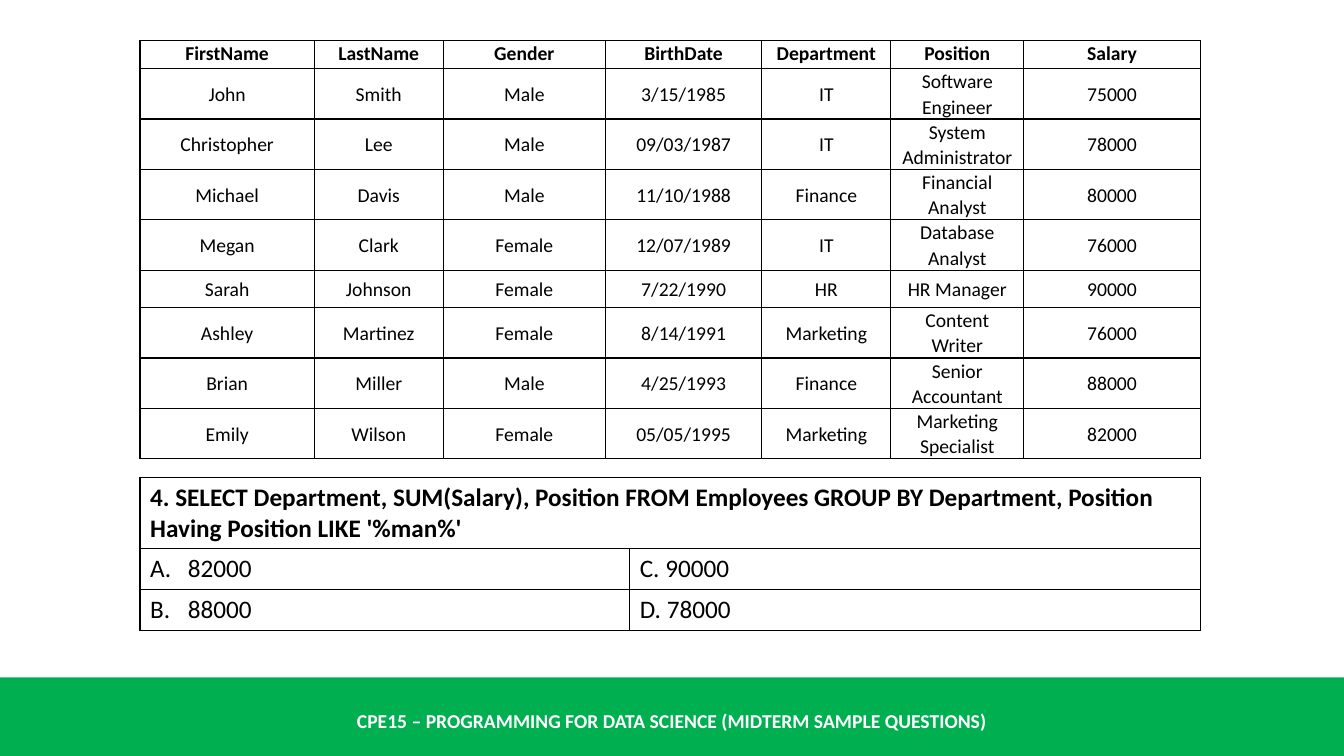
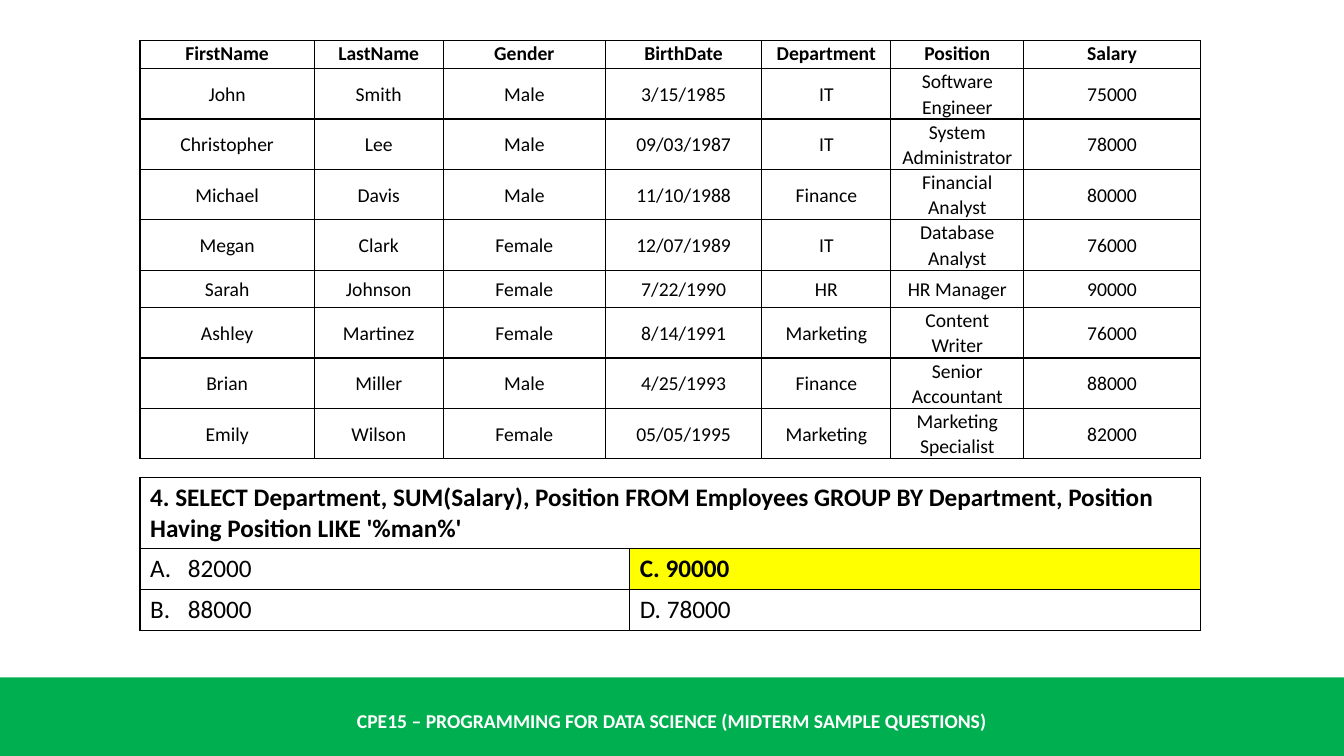
import lxml.etree
import pptx
import pptx.dml.color
import pptx.enum.shapes
import pptx.enum.text
import pptx.oxml.ns
import pptx.util

Cm = pptx.util.Cm
Pt = pptx.util.Pt
rgb = pptx.dml.color.RGBColor.from_string
qn = pptx.oxml.ns.qn
CENTER = pptx.enum.text.PP_ALIGN.CENTER
LEFT = pptx.enum.text.PP_ALIGN.LEFT
MIDDLE = pptx.enum.text.MSO_ANCHOR.MIDDLE
TOP = pptx.enum.text.MSO_ANCHOR.TOP

GREEN, BLACK, WHITE, YELLOW = "00B050", "000000", "FFFFFF", "FFFF00"
TABLE_LEFT = 3.53
FOOTER = "CPE15 – PROGRAMMING FOR DATA SCIENCE (MIDTERM SAMPLE QUESTIONS)"

EMPLOYEES = [
    ["FirstName", "LastName", "Gender", "BirthDate", "Department", "Position", "Salary"],
    ["John", "Smith", "Male", "3/15/1985", "IT", "Software Engineer", "75000"],
    ["Christopher", "Lee", "Male", "09/03/1987", "IT", "System Administrator", "78000"],
    ["Michael", "Davis", "Male", "11/10/1988", "Finance", "Financial Analyst", "80000"],
    ["Megan", "Clark", "Female", "12/07/1989", "IT", "Database Analyst", "76000"],
    ["Sarah", "Johnson", "Female", "7/22/1990", "HR", "HR Manager", "90000"],
    ["Ashley", "Martinez", "Female", "8/14/1991", "Marketing", "Content Writer", "76000"],
    ["Brian", "Miller", "Male", "4/25/1993", "Finance", "Senior Accountant", "88000"],
    ["Emily", "Wilson", "Female", "05/05/1995", "Marketing", "Marketing Specialist", "82000"],
]
EMPLOYEE_COLUMNS = [4.39, 3.25, 4.09, 3.94, 3.25, 3.35, 4.45]
EMPLOYEE_ROWS = [0.71] + [1.27] * 4 + [0.94] + [1.27] * 3

QUESTION = [
    ["4. SELECT Department, SUM(Salary), Position FROM Employees "
     "GROUP BY Department, Position Having Position LIKE '%man%'", ""],
    ["82000", "C. 90000"],
    ["88000", "D. 78000"],
]
QUESTION_COLUMNS = [12.34, 14.38]
QUESTION_ROWS = [1.79, 1.03, 1.03]


def write(para, text, size, colour, bold, align):
    para.alignment = align
    span = para.add_run()
    span.text = text
    span.font.color.rgb = rgb(colour)
    for name, value in {"name": "Calibri", "size": Pt(size), "bold": bold}.items():
        setattr(span.font, name, value)


def add_grid(page, top, texts, columns, rows, size, align):
    table = page.shapes.add_table(len(rows), len(columns), Cm(TABLE_LEFT), Cm(top),
                                  Cm(sum(columns)), Cm(sum(rows))).table
    table.first_row = table.horz_banding = False
    for column, width in zip(table.columns, columns):
        column.width = Cm(width)
    for index, height in enumerate(rows):
        table.rows[index].height = Cm(height)
        for cell, text in zip(table.rows[index].cells, texts[index]):
            cell.vertical_anchor = MIDDLE
            properties = cell._tc.get_or_add_tcPr()
            for side in ("a:lnL", "a:lnR", "a:lnT", "a:lnB"):
                line = lxml.etree.SubElement(properties, qn(side), w=str(Pt(1)))
                solid = lxml.etree.SubElement(line, qn("a:solidFill"))
                lxml.etree.SubElement(solid, qn("a:srgbClr"), val=BLACK)
            cell.fill.background()
            if text:
                write(cell.text_frame.paragraphs[0], text, size, BLACK, index == 0, align)
    return table


deck = pptx.Presentation()
deck.slide_width, deck.slide_height = Cm(33.87), Cm(19.05)
layout = deck.slide_layouts[6]
for placeholder in list(layout.placeholders):
    layout.shapes.element.remove(placeholder.element)

for answer_shown in (False, True):
    page = deck.slides.add_slide(layout)

    if not answer_shown:
        band = page.shapes.add_shape(pptx.enum.shapes.MSO_SHAPE.RECTANGLE,
                                     0, Cm(17.07), deck.slide_width, Cm(1.98))
        band.shadow.inherit = False
        band.fill.solid()
        band.fill.fore_color.rgb = rgb(GREEN)
        band.line.fill.background()
        footer = page.shapes.add_textbox(0, Cm(17.65), deck.slide_width, Cm(1.02))
        footer.text_frame.word_wrap = True
        footer.text_frame.vertical_anchor = MIDDLE
        write(footer.text_frame.paragraphs[0], FOOTER, 14, WHITE, True, CENTER)
        for shared in (band, footer):
            layout.shapes.element.append(shared.element)

    employees = add_grid(page, 1.02, EMPLOYEES, EMPLOYEE_COLUMNS, EMPLOYEE_ROWS, 14, CENTER)
    margins = {"margin_left": Cm(0.18), "margin_right": Cm(0.18),
               "margin_top": 0, "margin_bottom": 0}
    for cell in employees.iter_cells():
        cell.text_frame.paragraphs[0].line_spacing = 1.06
        for name, value in margins.items():
            setattr(cell, name, value)
    for cell in employees.rows[0].cells:
        cell.vertical_anchor = TOP

    question = add_grid(page, 12.04, QUESTION, QUESTION_COLUMNS, QUESTION_ROWS, 18, LEFT)
    question.cell(0, 0).merge(question.cell(0, 1))
    for number in (1, 2):
        properties = question.cell(number, 0).text_frame.paragraphs[0]._p.get_or_add_pPr()
        properties.set("marL", str(Cm(0.95)))
        properties.set("indent", str(-Cm(0.95)))
        lxml.etree.SubElement(properties, qn("a:buFont"), typeface="+mj-lt")
        lxml.etree.SubElement(properties, qn("a:buAutoNum"),
                              type="alphaUcPeriod", startAt=str(number))

    if answer_shown:
        answer = question.cell(1, 1)
        answer.fill.solid()
        answer.fill.fore_color.rgb = rgb(YELLOW)
        answer.text_frame.paragraphs[0].runs[0].font.bold = True

deck.save("out.pptx")
